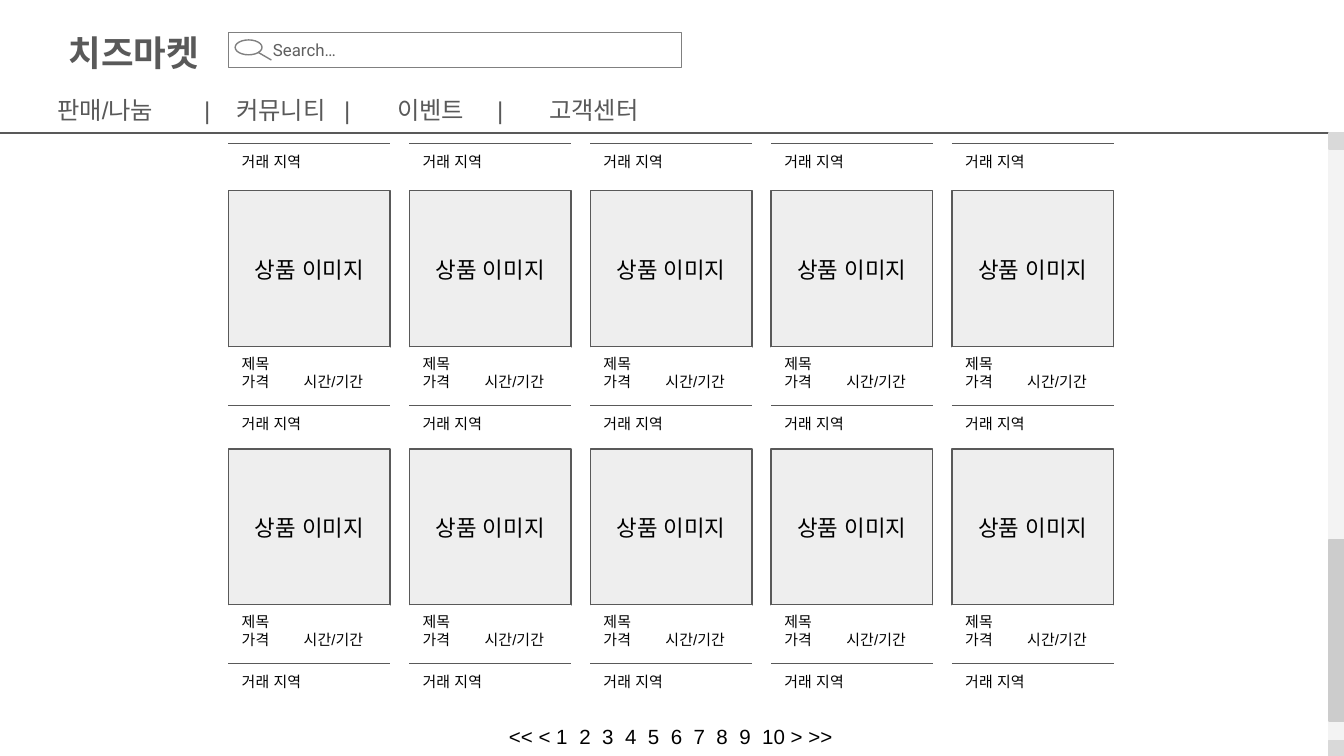
from lxml.etree import SubElement
from pptx import Presentation
from pptx.dml.color import RGBColor
from pptx.enum.shapes import MSO_CONNECTOR, MSO_SHAPE
from pptx.enum.text import MSO_ANCHOR, MSO_AUTO_SIZE, PP_ALIGN
from pptx.oxml.ns import qn
from pptx.util import Pt

TITLE = "치즈마켓"
SEARCH = "Search…"
NAV = ["판매/나눔", "|", "커뮤니티", "|", "이벤트", "|", "고객센터"]
NAV_TABS = [78.5, 95.8, 153.5, 182, 235.5, 263.5]
PAGES = ["<< < 1", "2", "3", "4", "5", "6", "7", "8", "9", "10 > >>"]
PAGE_TABS = [37.8 + 12.24 * i for i in range(len(PAGES) - 1)]
IMAGE = "상품 이미지"
INFO = ["제목", "가격\t시간/기간"]
REGION = "거래 지역"

C = {"ink": "000000", "dark": "595959", "white": "FFFFFF", "image": "EEEEEE",
     "field": "808080", "hint": "5F5F5F", "track": "F3F3F3",
     "arrow": "D9D9D9", "thumb": "CCCCCC"}
COLUMNS, GRID_LEFT, PITCH, CARD_W = 5, 122.4, 96.9, 86.6
CARD_TOPS = [102.2, 240.5]
REGION_TOP = 76.6
BAR_LEFT, BAR_W = 712, 8
BAR_PARTS = [(72, 333, "track"), (71.3, 8.5, "arrow"),
             (396.7, 8.5, "arrow"), (289.4, 97, "thumb")]


def rgb(name):
    return RGBColor.from_string(C[name])


def write(shape, text, size=8, color="ink", font="Arial", bold=False,
          align=PP_ALIGN.LEFT, anchor=MSO_ANCHOR.MIDDLE,
          insets=(7.2, 7.2, 7.2, 7.2), tabs=()):
    tf = shape.text_frame
    tf.word_wrap = True
    tf.auto_size = MSO_AUTO_SIZE.NONE
    tf.vertical_anchor = anchor
    tf.margin_left, tf.margin_top, tf.margin_right, tf.margin_bottom = map(Pt, insets)
    lines = [text] if isinstance(text, str) else text
    for i, line in enumerate(lines):
        p = tf.paragraphs[0] if i == 0 else tf.add_paragraph()
        p.alignment = align
        if tabs:
            stops = SubElement(p._p.get_or_add_pPr(), qn("a:tabLst"))
            for pos in tabs:
                SubElement(stops, qn("a:tab"), pos=str(int(Pt(pos))), algn="l")
        r = p.add_run()
        r.text = line
        r.font.size, r.font.name, r.font.bold = Pt(size), font, bold
        r.font.color.rgb = rgb(color)
        SubElement(r._r.get_or_add_rPr(), qn("a:ea"), typeface=font)


def box(shapes, x, y, w, h, fill, line, kind=MSO_SHAPE.RECTANGLE):
    sp = shapes.add_shape(kind, Pt(x), Pt(y), Pt(w), Pt(h))
    sp.shadow.inherit = False
    sp.fill.solid()
    sp.fill.fore_color.rgb = rgb(fill)
    sp.line.color.rgb = rgb(line)
    sp.line.width = Pt(0.75)
    return sp


def rule(shapes, x1, y1, x2, y2, color="dark"):
    c = shapes.add_connector(MSO_CONNECTOR.STRAIGHT, Pt(x1), Pt(y1), Pt(x2), Pt(y2))
    c.line.color.rgb = rgb(color)
    c.line.width = Pt(0.75)
    SubElement(c._element.spPr, qn("a:effectLst"))


def text_box(shapes, x, y, w, h, text, **fmt):
    write(shapes.add_textbox(Pt(x), Pt(y), Pt(w), Pt(h)), text, **fmt)


def region(shapes, x, y):
    write(box(shapes, x, y, CARD_W, 20, "white", "white"), REGION)
    rule(shapes, x, y + 0.4, x + CARD_W, y + 0.4)


def card(shapes, x, y):
    image = box(shapes, x, y, CARD_W, 84, "image", "dark")
    write(image, IMAGE, size=12, align=PP_ALIGN.CENTER)
    info = box(shapes, x, y + 84.2, CARD_W, 36, "white", "white")
    write(info, INFO, anchor=MSO_ANCHOR.TOP, insets=(7.2, 3.4, 0, 0), tabs=[33.2])
    region(shapes, x, y + 114.5)
    rule(shapes, x, y + 83.5, x + CARD_W, y + 83.5)


def main():
    """Build the market listing page and save it."""
    prs = Presentation()
    prs.slide_width, prs.slide_height = Pt(720), Pt(405)
    s = prs.slides.add_slide(prs.slide_layouts[5])
    shapes = s.shapes

    title = shapes.title
    title.left, title.top, title.width, title.height = map(Pt, (18.7, 9.4, 106, 37.4))
    write(title, TITLE, size=19, color="dark", bold=True,
          align=PP_ALIGN.CENTER, anchor=MSO_ANCHOR.TOP)

    for col in range(COLUMNS):
        x = GRID_LEFT + col * PITCH
        region(shapes.add_group_shape().shapes, x, REGION_TOP)
        for y in CARD_TOPS:
            card(shapes.add_group_shape().shapes, x, y)

    text_box(shapes, 260.6, 383.8, 198, 21, "\t".join(PAGES), size=11,
             insets=(12, 7.2, 0, 7.2), tabs=PAGE_TABS)
    rule(shapes, 0, 71.2, 719.3, 71.2)
    for top, height, color in BAR_PARTS:
        box(shapes, BAR_LEFT, top, BAR_W, height, color, color)

    text_box(shapes, 23.8, 43.9, 368, 21.6, "\t".join(NAV), size=13, color="dark",
             anchor=MSO_ANCHOR.TOP, tabs=NAV_TABS)
    field = box(shapes, 122.4, 17.4, 242.8, 18.8, "white", "field")
    write(field, SEARCH, size=9, color="hint", font="Roboto",
          insets=(23.8, 4.3, 7.2, 4.3))
    box(shapes, 126, 21.4, 14.4, 8, "white", "field", MSO_SHAPE.OVAL)
    rule(shapes, 138.2, 28, 145.4, 32.2, "field")

    prs.save("out.pptx")


if __name__ == "__main__":
    main()
